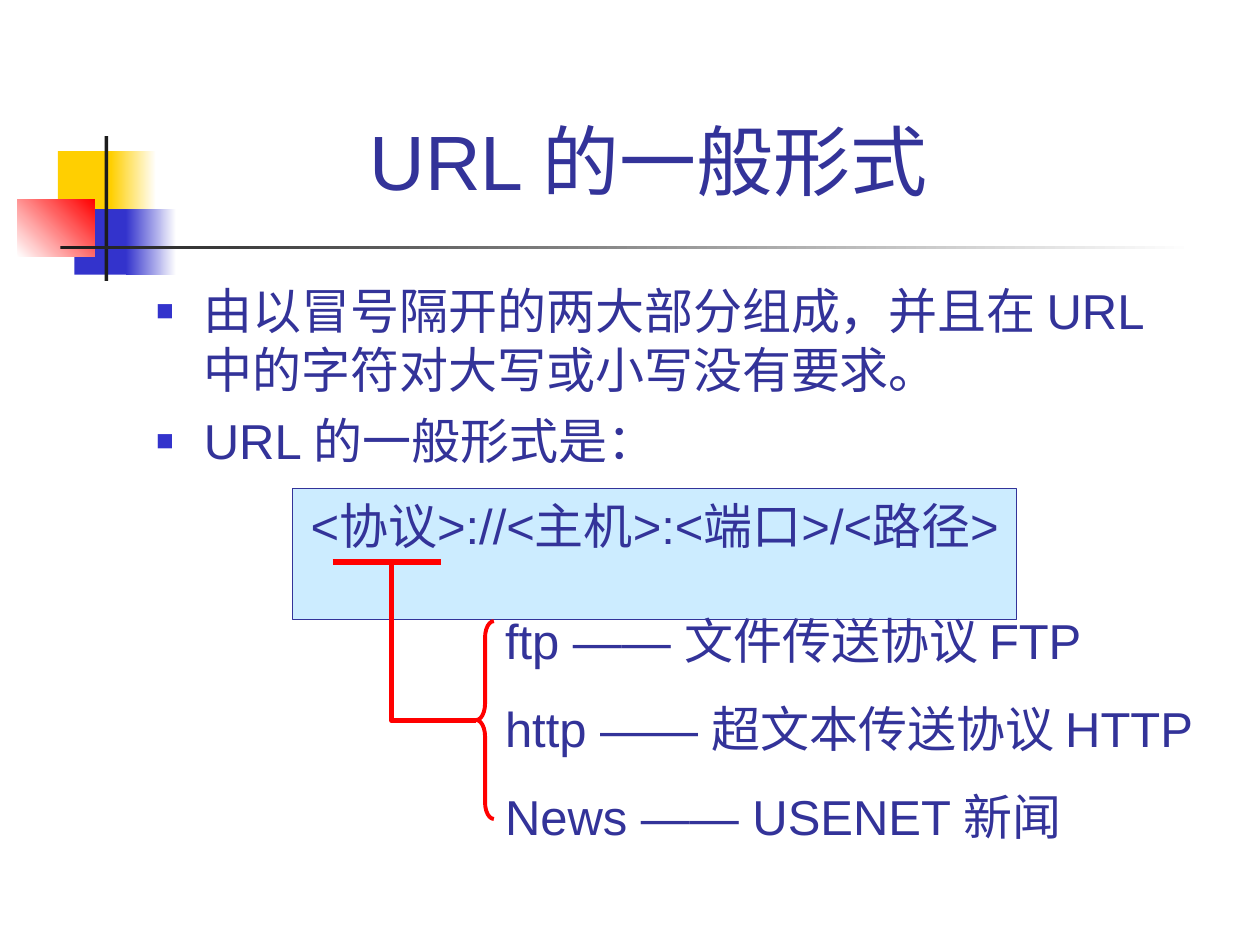
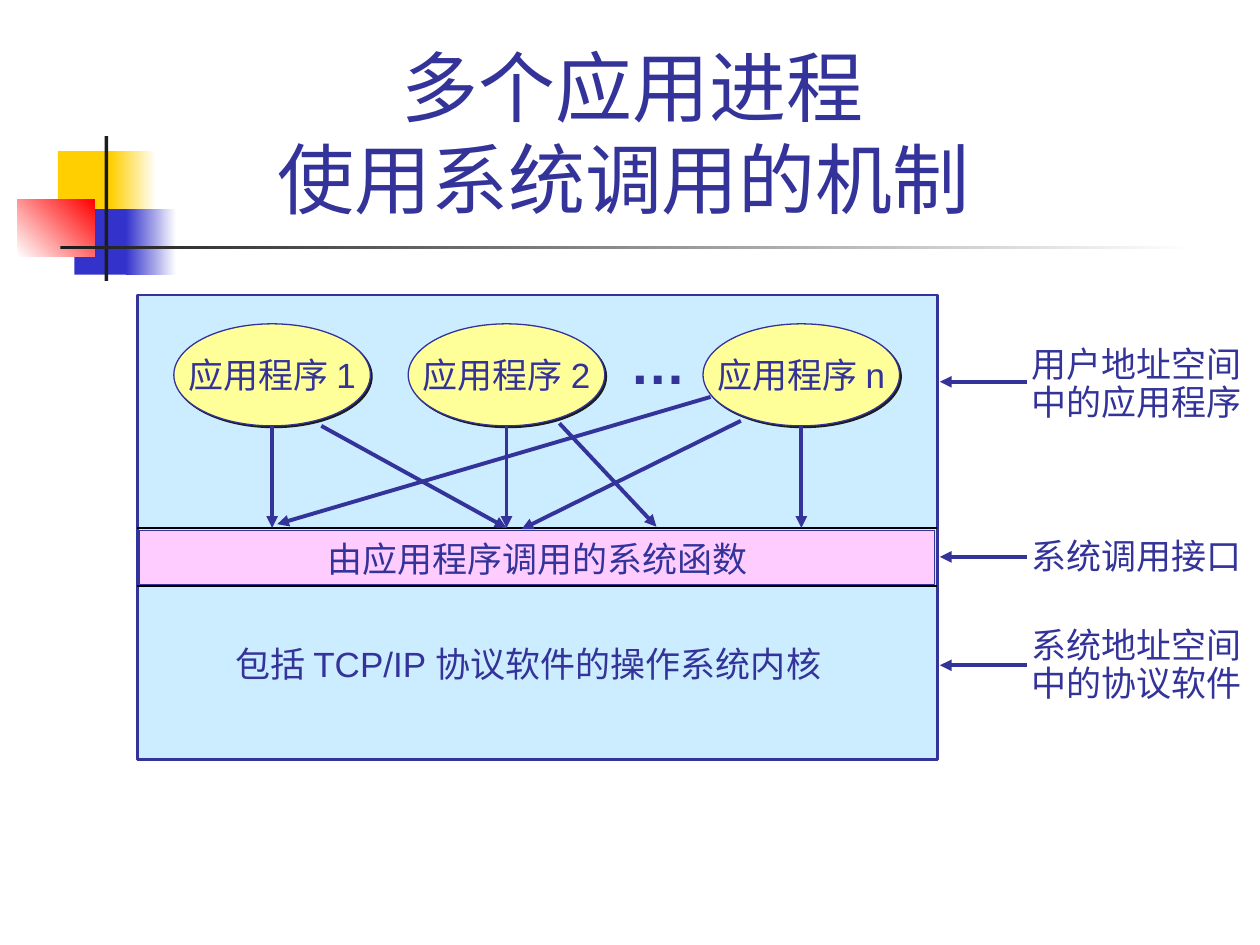
from lxml.etree import SubElement
from pptx import Presentation
from pptx.dml.color import RGBColor
from pptx.enum.shapes import MSO_CONNECTOR, MSO_SHAPE
from pptx.enum.text import MSO_ANCHOR, PP_ALIGN
from pptx.oxml.ns import qn
from pptx.util import Inches, Pt

# Grid: 10 columns by 7.5 rows of one-inch cells
COLUMNS, ROWS = 10, 7.5
CELL = Inches(1)
FONT = "Arial"
COLORS = {
    "ink": "333399", "blue": "3333CC", "gold": "FFCF01", "red": "FF0000",
    "dark": "1C1C1C", "black": "000000", "white": "FFFFFF",
    "sky": "CCECFF", "yellow": "FFFF99", "pink": "FFCCFF",
}
LEFT, CENTER = PP_ALIGN.LEFT, PP_ALIGN.CENTER


def grid(*cells):
    return [round(cell * CELL) for cell in cells]


def color(name):
    return RGBColor.from_string(COLORS[name])


def write(frame, text, size, align=LEFT, anchor=MSO_ANCHOR.TOP, wrap=True,
          spacing=None, bold=False):
    """Fill a text frame; each newline starts a paragraph."""
    frame.text = text
    frame.word_wrap = wrap
    frame.vertical_anchor = anchor
    for para in frame.paragraphs:
        para.alignment = align
        if spacing:
            para.line_spacing = spacing
        for span in para.runs:
            span.font.name = FONT
            span.font.size = Pt(size)
            span.font.bold = bold
            span.font.color.rgb = color("ink")


def add_text(page, at, text, size, **style):
    box = page.shapes.add_textbox(*grid(*at))
    write(box.text_frame, text, size, **style)
    return box


def style_line(shape, name, width):
    shape.line.color.rgb = color(name)
    shape.line.width = Pt(width)


def add_block(page, at, fill, line=None, width=0.75, kind=MSO_SHAPE.RECTANGLE):
    block = page.shapes.add_shape(kind, *grid(*at))
    block.fill.solid()
    block.fill.fore_color.rgb = color(fill)
    if line:
        style_line(block, line, width)
    else:
        block.line.fill.background()
    block.shadow.inherit = False
    return block


def add_fade(page, at, start, end, angle=0):
    block = add_block(page, at, start)
    block.fill.gradient()
    block.fill.gradient_angle = angle
    for stop, name in zip(block.fill.gradient_stops, (start, end)):
        stop.color.rgb = color(name)


def add_line(page, start, end, name="ink", width=2.25, arrow=False):
    line = page.shapes.add_connector(MSO_CONNECTOR.STRAIGHT, *grid(*start, *end))
    style_line(line, name, width)
    properties = line._element.spPr
    if arrow:
        SubElement(properties.find(qn("a:ln")), qn("a:tailEnd"), type="triangle")
    SubElement(properties, qn("a:effectLst"))


def add_hard_shadow(shape):
    effects = shape._element.spPr.find(qn("a:effectLst"))
    shadow = SubElement(effects, qn("a:outerShdw"), blurRad="0",
                        dist=str(Pt(1.4)), dir="2700000", algn="ctr",
                        rotWithShape="0")
    SubElement(shadow, qn("a:srgbClr"), val=COLORS["dark"])


def add_bullet(para):
    properties = para._p.get_or_add_pPr()
    indent = grid(0.38)[0]
    properties.set("marL", str(indent))
    properties.set("indent", str(-indent))
    tint = SubElement(properties, qn("a:buClr"))
    SubElement(tint, qn("a:srgbClr"), val=COLORS["blue"])
    SubElement(properties, qn("a:buSzPct"), val="60000")
    SubElement(properties, qn("a:buFont"), typeface=FONT)
    SubElement(properties, qn("a:buChar"), char="■")


def add_page(deck, title, title_at):
    """Blank page with the shared corner ornament, rule and title."""
    page = deck.slides.add_slide(deck.slide_layouts[6])
    add_block(page, (0.46, 1.2, 0.48, 0.52), "gold")
    add_fade(page, (0.88, 1.2, 0.36, 0.52), "gold", "white")
    add_block(page, (0.59, 1.66, 0.46, 0.52), "blue")
    add_fade(page, (1, 1.66, 0.4, 0.52), "blue", "white")
    add_fade(page, (0.14, 1.58, 0.61, 0.46), "white", "red", angle=45)
    add_block(page, (0.83, 1.08, 0.03, 1.15), "dark")
    add_fade(page, (0.48, 1.95, 9, 0.03), "dark", "white")
    add_text(page, title_at, title, 44, align=CENTER, anchor=MSO_ANCHOR.BOTTOM)
    return page


def build_url_page(deck):
    page = add_page(deck, "URL 的一般形式 ", (1.26, 0.76, 7.91, 0.92))

    # Bulleted explanation
    body = add_text(page, (1.14, 2.18, 8.5, 2.12),
                    "由以冒号隔开的两大部分组成，并且在 URL 中的字符对大写或小写没有要求。\n"
                    "URL 的一般形式是：", 28)
    for index, para in enumerate(body.text_frame.paragraphs):
        para.space_before = Pt(7 if index else 0)
        add_bullet(para)

    # URL pattern
    pattern = add_block(page, (2.32, 3.88, 5.75, 1.04), "sky", "ink")
    write(pattern.text_frame, "<协议>://<主机>:<端口>/<路径> ", 28, align=CENTER)

    # Underline, elbow and brace leading to the protocol list
    stem, top, middle, brace_left = 3.11, 4.46, 5.72, 3.78
    add_line(page, (2.64, top), (3.5, top), "red", 3)
    outline = page.shapes.build_freeform(*grid(stem, top))
    outline.add_line_segments([grid(stem, middle), grid(brace_left, middle)],
                              close=False)
    elbow = outline.convert_to_shape()
    brace = page.shapes.add_shape(MSO_SHAPE.LEFT_BRACE,
                                  *grid(brace_left, 4.93, 0.14, 1.57))
    brace.adjustments[0] = 0.93
    for shape, width in ((elbow, 3), (brace, 2.25)):
        shape.fill.background()
        style_line(shape, "red", width)
        shape.shadow.inherit = False

    add_text(page, (3.91, 4.56, 5.95, 2.2),
             "ftp —— 文件传送协议 FTP\nhttp —— 超文本传送协议 HTTP\n"
             "News —— USENET 新闻", 28, wrap=False, spacing=1.5)


def build_system_call_page(deck):
    page = add_page(deck, "多个应用进程\v使用系统调用的机制 ", (1.26, 0.23, 7.52, 1.6))
    left, width = 1.09, 6.35
    right = left + width
    interface_top, interface_bottom = 4.19, 4.65
    add_block(page, (left, 2.34, width, 3.69), "sky", "ink", 1.5)

    # Applications
    app_top, app_width, app_height = 2.57, 1.56, 0.81
    apps = {"应用程序 1": 1.38, "应用程序 2": 3.24, "应用程序 n": 5.58}
    for name, app_left in apps.items():
        app = add_block(page, (app_left, app_top, app_width, app_height),
                        "yellow", "ink", kind=MSO_SHAPE.OVAL)
        add_hard_shadow(app)
        write(app.text_frame, name, 20, align=CENTER,
              anchor=MSO_ANCHOR.MIDDLE, wrap=False)
    add_text(page, (4.9, 2.56, 0.64, 0.64), "…", 32, wrap=False, bold=True)

    # System call interface
    add_block(page, (left + 0.02, 4.21, width - 0.04, 0.43), "pink", "ink")
    for edge in (interface_top, interface_bottom):
        add_line(page, (left, edge), (right, edge), "black", 0.75)
    add_text(page, (2.5, 4.22, 3.54, 0.44), "由应用程序调用的系统函数", 20, wrap=False)

    # Calls from the applications: straight down, then crossing
    for app_left in apps.values():
        center = app_left + app_width / 2
        add_line(page, (center, app_top + app_height), (center, interface_top),
                 arrow=True)
    for start, end in (((2.55, 3.38), (4.02, 4.19)), ((5.88, 3.34), (4.14, 4.2)),
                       ((5.64, 3.15), (2.2, 4.16)), ((4.44, 3.36), (5.21, 4.18))):
        add_line(page, start, end, arrow=True)

    # Labels on the right, each with its arrow
    for text, top, height, arrow_at, spacing in (
            ("用户地址空间\n中的应用程序", 2.71, 0.7, 3.03, 0.9),
            ("系统调用接口", 4.19, 0.44, 4.42, None),
            ("系统地址空间\n中的协议软件", 4.94, 0.7, 5.28, 0.9)):
        add_text(page, (8.09, top, 1.87, height), text, 20, wrap=False,
                 spacing=spacing)
        add_line(page, (8.15, arrow_at), (right + 0.02, arrow_at), arrow=True)

    # Kernel
    add_text(page, (1.77, 5.05, 5.06, 0.44), "包括 TCP/IP 协议软件的操作系统内核",
             20, wrap=False)


def main():
    deck = Presentation()
    deck.slide_width, deck.slide_height = grid(COLUMNS, ROWS)
    build_url_page(deck)
    build_system_call_page(deck)
    deck.save("out.pptx")


if __name__ == "__main__":
    main()
